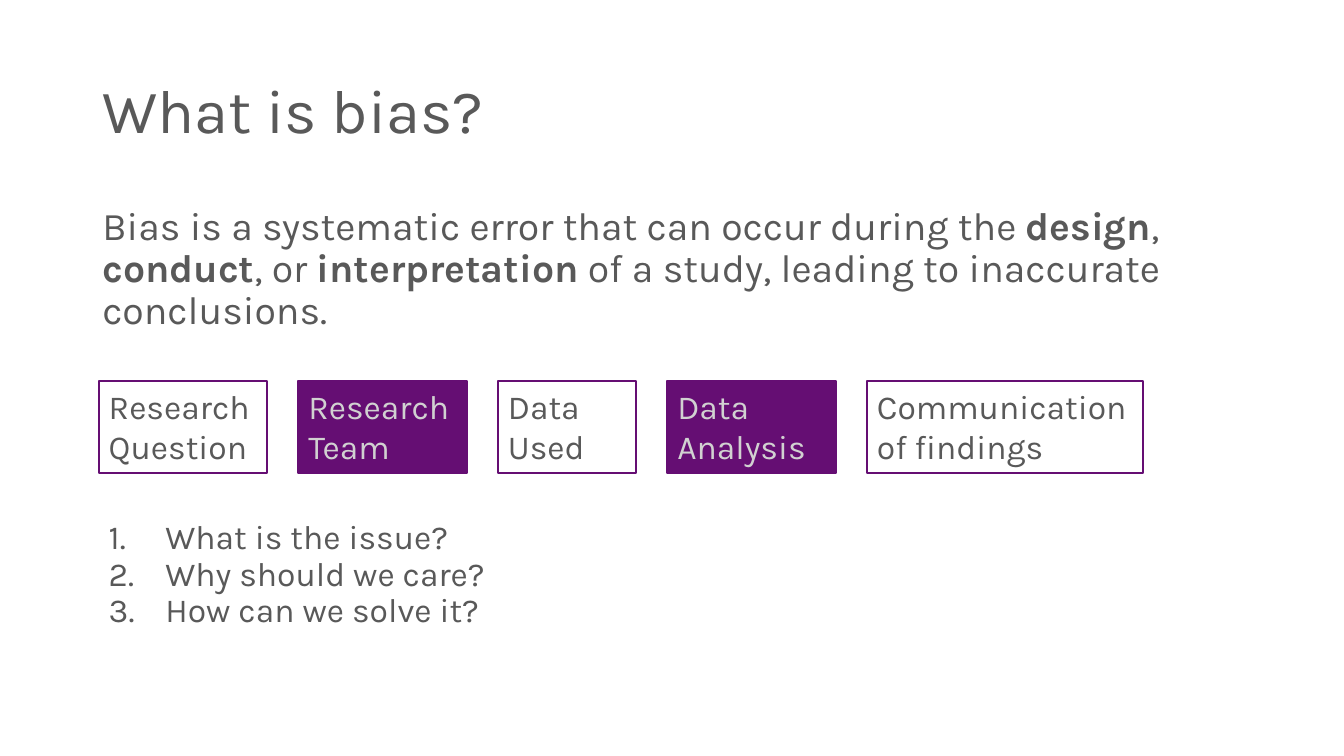
from dataclasses import dataclass

from lxml import etree
from pptx import Presentation
from pptx.dml.color import RGBColor
from pptx.enum import shapes, text
from pptx.oxml import ns
from pptx.util import Cm, Pt


@dataclass(frozen=True)
class Theme:
    font: str = "Karla"
    grey: str = "595959"
    pale: str = "D1D1D1"
    purple: str = "650E73"
    white: str = "FFFFFF"
    title: int = 44
    body: int = 28
    label: int = 24


theme = Theme()


def write(frame, paragraphs, size, color, spacing=1.0, before=0):
    """Fill a frame with paragraphs, each a list of (words, bold) runs."""
    layout = {
        "word_wrap": True,
        "auto_size": text.MSO_AUTO_SIZE.NONE,
        "vertical_anchor": text.MSO_ANCHOR.TOP,
    }
    for key, value in layout.items():
        setattr(frame, key, value)
    for index, runs in enumerate(paragraphs):
        paragraph = frame.add_paragraph() if index else frame.paragraphs[0]
        paragraph.alignment = text.PP_ALIGN.LEFT
        paragraph.line_spacing = spacing
        paragraph.space_before = Pt(before)
        for words, bold in runs:
            run = paragraph.add_run()
            run.text = words
            for key, value in {"name": theme.font, "size": Pt(size), "bold": bold}.items():
                setattr(run.font, key, value)
            run.font.color.rgb = RGBColor.from_string(color)


deck = Presentation()
deck.slide_width, deck.slide_height = Cm(33.87), Cm(19.05)
slide = deck.slides.add_slide(deck.slide_layouts[5])

# Title
title = slide.shapes.title
title_place = {"left": 2.33, "top": 1.01, "width": 29.21, "height": 3.68}
for side, length in title_place.items():
    setattr(title, side, Cm(length))
write(title.text_frame, [[("What is bias?", False)]], theme.title, theme.grey, 0.9)
title.text_frame.vertical_anchor = text.MSO_ANCHOR.MIDDLE

# Definition
definition = slide.shapes.add_textbox(Cm(2.33), Cm(5.07), Cm(29.21), Cm(3.68))
definition_runs = [
    ("Bias is a systematic error that can occur during the ", False),
    ("design", True),
    (", ", False),
    ("conduct", True),
    (", or ", False),
    ("interpretation", True),
    (" of a study, leading to inaccurate conclusions.", False),
]
write(definition.text_frame, [definition_runs], theme.body, theme.grey, 0.9, 10)

# Research stages, left to right: label, width in cm, highlighted
stages = [
    ("Research Question", 4.24, False),
    ("Research Team", 4.24, True),
    ("Data Used", 3.48, False),
    ("Data Analysis", 4.24, True),
    ("Communication of findings", 6.96, False),
]
stage_gap = 0.79
stage_left = 2.49
for label, width, highlighted in stages:
    stage = slide.shapes.add_shape(
        shapes.MSO_SHAPE.RECTANGLE, Cm(stage_left), Cm(9.6), Cm(width), Cm(2.31))
    stage.shadow.inherit = False
    stage.fill.solid()
    stage.fill.fore_color.rgb = RGBColor.from_string(
        theme.purple if highlighted else theme.white)
    stage.line.color.rgb = RGBColor.from_string(theme.purple)
    stage.line.width = Pt(1.5)
    write(stage.text_frame, [[(label, False)]], theme.label,
          theme.pale if highlighted else theme.grey)
    stage_left += width + stage_gap

# Numbered questions
questions = slide.shapes.add_textbox(Cm(2.49), Cm(13), Cm(10.9), Cm(3.68))
question_lines = ["What is the issue?", "Why should we care?", "How can we solve it?"]
write(questions.text_frame, [[(line, False)] for line in question_lines],
      theme.label, theme.grey, 0.9)
indent = Cm(1.43)
for paragraph in questions.text_frame.paragraphs:
    properties = paragraph._p.get_or_add_pPr()
    properties.set("marL", str(indent))
    properties.set("indent", str(-indent))
    bullet_font = etree.SubElement(properties, ns.qn("a:buFont"))
    bullet_font.set("typeface", theme.font)
    numbering = etree.SubElement(properties, ns.qn("a:buAutoNum"))
    numbering.set("type", "arabicPeriod")

deck.save("out.pptx")
